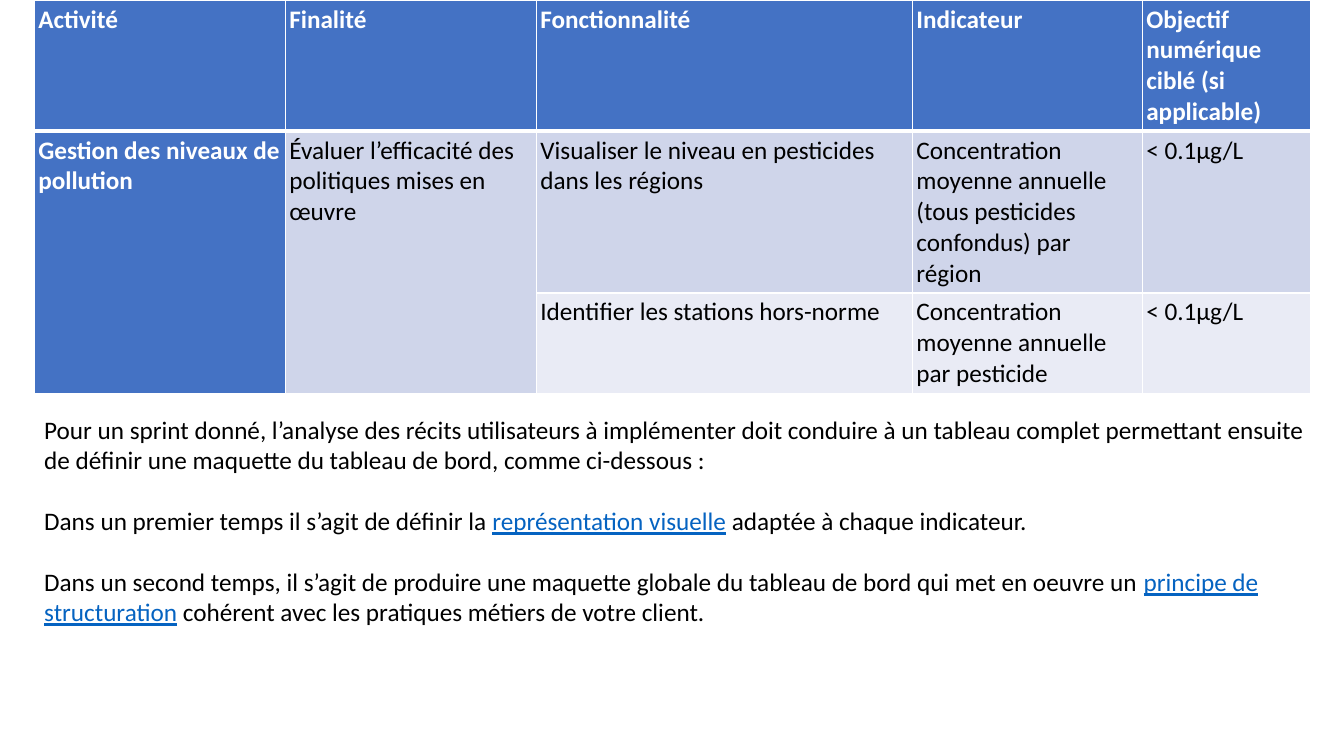
from lxml import etree
from pptx import Presentation
from pptx.dml.color import RGBColor
from pptx.enum.text import MSO_AUTO_SIZE
from pptx.oxml.ns import qn
from pptx.util import Inches, Pt

FIT = MSO_AUTO_SIZE.SHAPE_TO_FIT_TEXT
WHITE = RGBColor(0xFF, 0xFF, 0xFF)
BLACK = RGBColor(0, 0, 0)
BLUE = RGBColor(0x44, 0x72, 0xC4)
LILAC = RGBColor(0xCF, 0xD5, 0xEA)
PALE = RGBColor(0xE9, 0xEB, 0xF5)
LINK = RGBColor(0x05, 0x63, 0xC1)

BASE = {"name": "Calibri", "size": Pt(18)}
HEAD = {**BASE, "bold": True}
BODY = {**BASE, "bold": False}
LINKED = {**BASE, "underline": True}
PAD = dict.fromkeys(
    ["margin_left", "margin_top", "margin_right", "margin_bottom"], Inches(0.04))

COLS = [2.49, 2.49, 3.73, 2.28, 1.67]
ROWS = [0.52, 0.83, 0.83]
FILLS = [BLUE, LILAC, PALE]
CELLS = [
    ["Activité", "Finalité", "Fonctionnalité", "Indicateur",
     "Objectif numérique ciblé (si applicable)"],
    ["Gestion des niveaux de pollution",
     "Évaluer l’efficacité des politiques mises en œuvre",
     "Visualiser le niveau en pesticides dans les régions",
     "Concentration moyenne annuelle (tous pesticides confondus) par région",
     "< 0.1µg/L"],
    ["", "", "Identifier les stations hors-norme",
     "Concentration moyenne annuelle par pesticide", "< 0.1µg/L"],
]
NOTES = [
    [("Pour un sprint donné, l’analyse des récits utilisateurs à implémenter "
      "doit conduire à un tableau complet permettant ensuite de définir une "
      "maquette du tableau de bord, comme ci-dessous :", False)],
    [("Dans un premier temps il s’agit de définir la ", False),
     ("représentation visuelle", True),
     (" adaptée à chaque indicateur.", False)],
    [("Dans un second temps, il s’agit de produire une maquette globale du "
      "tableau de bord qui met en oeuvre un ", False),
     ("principe de structuration", True),
     (" cohérent avec les pratiques métiers de votre client.", False)],
]


def apply(item, form):
    for key, value in form.items():
        setattr(item, key, value)


def add_run(para, text, form, color):
    run = para.add_run()
    run.text = text
    apply(run.font, form)
    run.font.color.rgb = color


def edge(cell, widths):
    props = cell._tc.get_or_add_tcPr()
    for spot, (side, width) in enumerate(widths.items()):
        line = etree.Element(qn("a:" + side), w=str(Pt(width)))
        fill = etree.SubElement(line, qn("a:solidFill"))
        etree.SubElement(fill, qn("a:srgbClr"), val=str(WHITE))
        props.insert(spot, line)


def draw_grid(slide, left, top, width, height):
    frame = slide.shapes.add_table(
        len(ROWS), len(COLS), Inches(left), Inches(top), Inches(width), Inches(height))
    grid = frame.table
    for col, size in zip(grid.columns, COLS):
        col.width = Inches(size)
    for row, size in zip(grid.rows, ROWS):
        row.height = Inches(size)
    frame.height = Inches(height)
    for c in range(2):
        grid.cell(1, c).merge(grid.cell(2, c))
    for r, texts in enumerate(CELLS):
        for c, text in enumerate(texts):
            cell = grid.cell(r, c)
            head = r == 0 or c == 0
            apply(cell, PAD)
            cell.fill.solid()
            cell.fill.fore_color.rgb = BLUE if head else LILAC if c == 1 else FILLS[r]
            edge(cell, {"lnL": 1, "lnR": 1, "lnT": 3 if r == 1 else 1,
                        "lnB": 3 if r == 0 else 1})
            if text:
                para = cell.text_frame.paragraphs[0]
                para.space_after = Pt(15)
                add_run(para, text, HEAD if head else BODY, WHITE if head else BLACK)


def draw_notes(slide, left, top, width, height):
    box = slide.shapes.add_textbox(
        Inches(left), Inches(top), Inches(width), Inches(height))
    frame = box.text_frame
    apply(frame, {"word_wrap": True, "auto_size": FIT})
    for n, parts in enumerate(NOTES):
        para = frame.add_paragraph() if n else frame.paragraphs[0]
        para.space_before = Pt(22 if n else 0)
        for text, linked in parts:
            add_run(para, text, LINKED if linked else BASE, LINK if linked else BLACK)


def main():
    deck = Presentation()
    apply(deck, {"slide_width": Inches(13.33), "slide_height": Inches(7.5)})
    slide = deck.slides.add_slide(deck.slide_layouts[6])
    draw_grid(slide, 0.34, 0, 12.65, 3.82)
    draw_notes(slide, 0.34, 4.06, 12.77, 2.52)
    deck.save("out.pptx")


if __name__ == "__main__":
    main()
